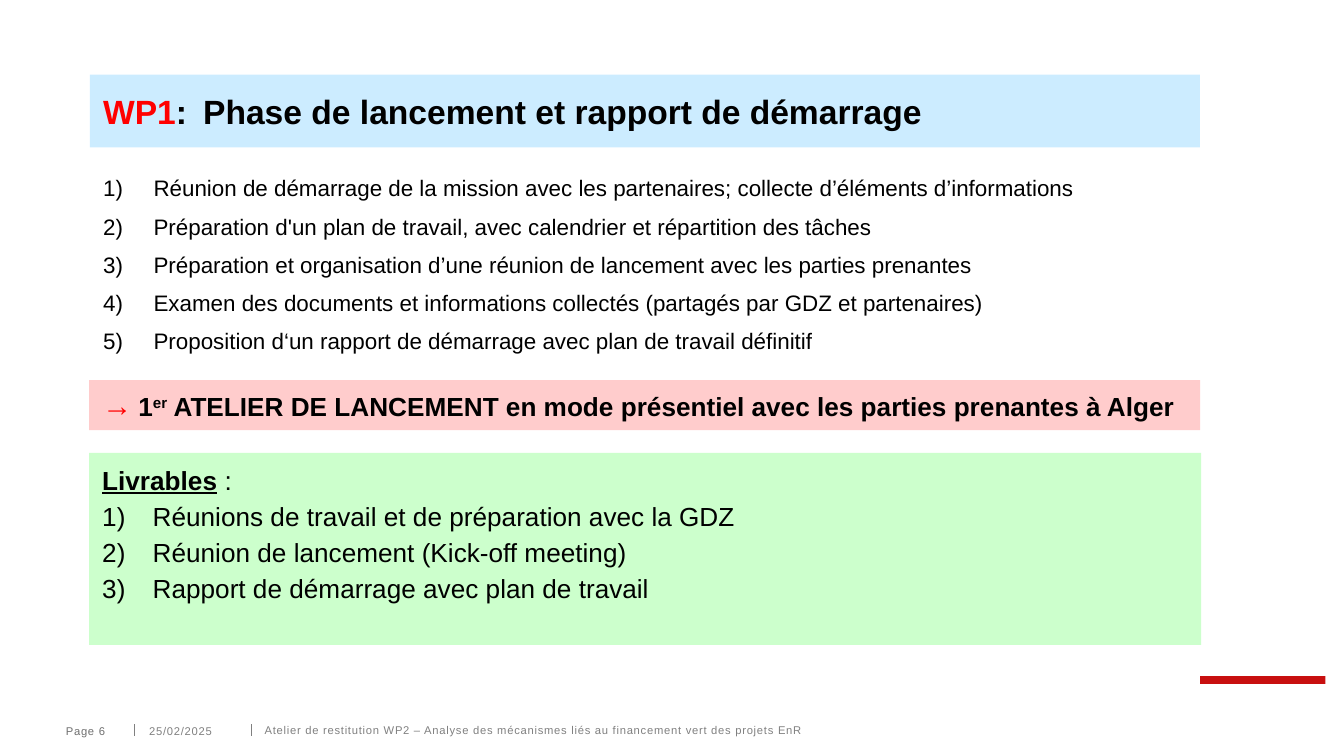
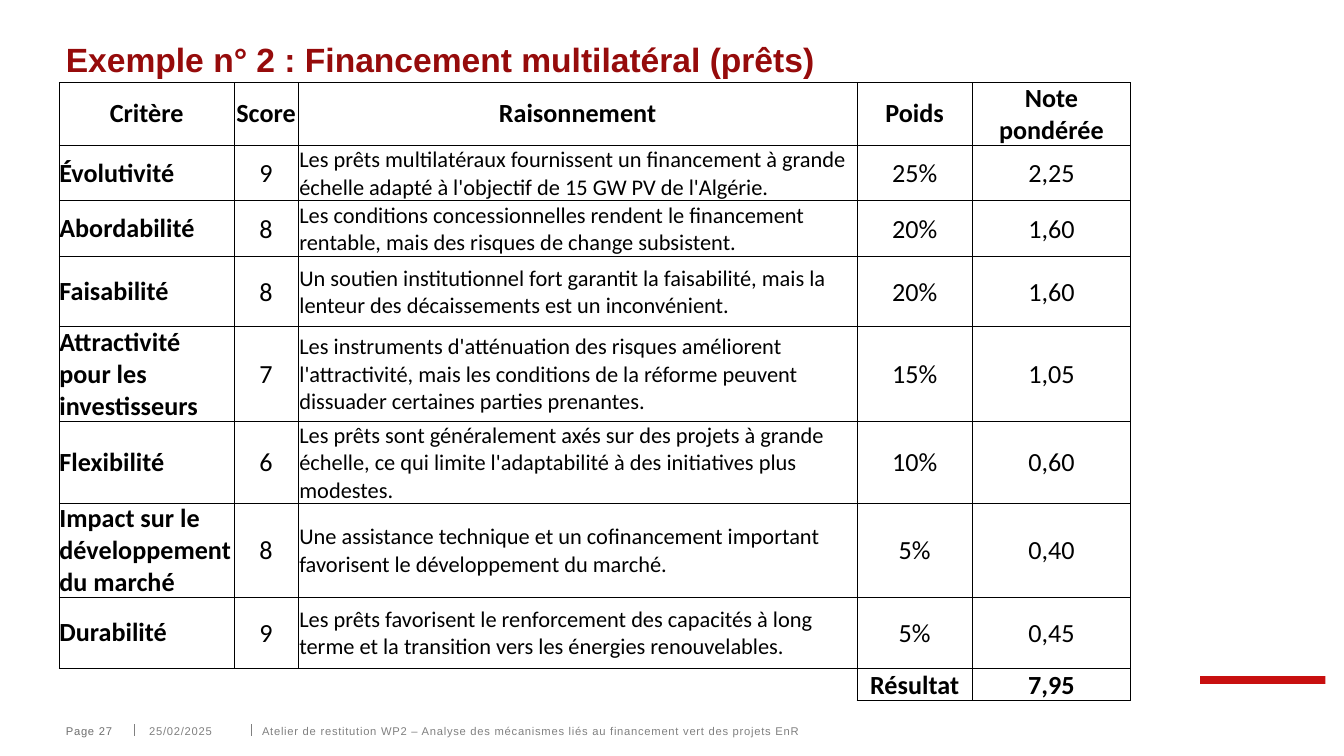
from dataclasses import dataclass
from lxml import etree
from pptx import Presentation, util as u
from pptx.dml.color import RGBColor
from pptx.enum import shapes, text
from pptx.oxml import ns

Pt = u.Pt


@dataclass(frozen=True)
class Theme:
    face: str = "Arial"
    grid: str = "Calibri"
    black: str = "000000"
    red: str = "FF0000"
    deep: str = "960B0B"
    bar: str = "C80F0F"
    grey: str = "808080"
    dim: str = "6F6F6F"
    blue: str = "CCECFF"
    green: str = "CCFFCC"
    pink: str = "FFCCCC"
    head: int = 18
    arrow: int = 16
    big: int = 14
    body: int = 12
    foot: int = 6


look = Theme()


def style(par, bits, face=look.face):
    for words, size, tint, bold, *more in bits:
        run = par.add_run()
        run.text = words
        run.font.name = face
        run.font.size = Pt(size)
        run.font.bold = bold
        run.font.color.rgb = RGBColor.from_string(tint)
        for key, val in more:
            run._r.get_or_add_rPr().set(key, val)


def put(slide, spot, lines, fill=None, pad=(7.2, 3.6, 7.2, 3.6),
        side="TOP", space=1.0, after=0, first=None):
    spot = [Pt(n) for n in spot]
    if fill:
        shape = slide.shapes.add_shape(shapes.MSO_SHAPE.RECTANGLE, *spot)
        shape.shadow.inherit = False
        shape.fill.solid()
        shape.fill.fore_color.rgb = RGBColor.from_string(fill)
        shape.line.fill.background()
    else:
        shape = slide.shapes.add_textbox(*spot)
    frame = shape.text_frame
    frame.word_wrap = True
    frame.vertical_anchor = text.MSO_ANCHOR[side]
    (frame.margin_left, frame.margin_top,
     frame.margin_right, frame.margin_bottom) = [Pt(n) for n in pad]
    for k, bits in enumerate(lines):
        par = frame.paragraphs[0] if k == 0 else frame.add_paragraph()
        par.alignment = text.PP_ALIGN.LEFT
        par.line_spacing = space
        par.space_after = Pt(after)
        if first is not None and k >= first:
            prop = par._p.get_or_add_pPr()
            prop.set("marL", str(Pt(27)))
            prop.set("indent", str(Pt(-27)))
            etree.SubElement(prop, ns.qn("a:buAutoNum"), type="arabicParenR")
        style(par, bits)
    return shape


deck = Presentation()
deck.slide_width, deck.slide_height = Pt(720), Pt(405)

event = ("Atelier de restitution WP2 – Analyse des mécanismes liés "
         "au financement vert des projets EnR")
pages = []
for num, left, top in ((6, 141.8, 387.4), (27, 140.4, 388)):
    page = deck.slides.add_slide(deck.slide_layouts[6])
    pages.append(page)
    put(page, (643, 362.2, 67, 4.2), [], look.bar)
    for x in (134.6, 72):
        rule = page.shapes.add_connector(
            shapes.MSO_CONNECTOR.STRAIGHT, Pt(x), Pt(388), Pt(x), Pt(394.5))
        rule.line.color.rgb = RGBColor.from_string(look.grey)
        rule.line.width = Pt(0.75)
        etree.SubElement(rule._element.spPr, ns.qn("a:effectLst"))
    for words, x, y, wide, tint in (
            (f"Page {num}", 35.3, 388, 35.3, look.dim),
            ("25/02/2025", 79.9, 388, 47.5, look.grey),
            (event, left, top, 460, look.grey)):
        put(page, (x, y, wide, 7.2),
            [[(words, look.foot, tint, False, ("spc", "40"))]],
            pad=(0, 0, 0, 0), side="MIDDLE")

start, score = pages

head = put(start, (48.2, 40, 594.6, 39),
           [[("WP1", look.head, look.red, True),
             (":\tPhase de lancement et rapport de démarrage",
              look.head, look.black, True)]],
           look.blue, (7.2, 8.6, 7.2, 8.6))
prop = head.text_frame.paragraphs[0]._p.get_or_add_pPr()
tabs = etree.SubElement(prop, ns.qn("a:tabLst"))
etree.SubElement(tabs, ns.qn("a:tab"), pos=str(Pt(53.6)), algn="l")

goods = ("Réunions de travail et de préparation avec la GDZ",
         "Réunion de lancement (Kick-off meeting)",
         "Rapport de démarrage avec plan de travail")
put(start, (47.7, 242.6, 595.8, 103),
    [[("Livrables", look.big, look.black, True, ("u", "sng")),
      ("\u00a0:", look.big, look.black, False)]]
    + [[(item, look.big, look.black, False)] for item in goods],
    look.green, space=1.15, first=1)

steps = (
    "Réunion de démarrage de la mission avec les partenaires; collecte d’éléments d’informations",
    "Préparation d'un plan de travail, avec calendrier et répartition des tâches",
    "Préparation et organisation d’une réunion de lancement avec les parties prenantes",
    "Examen des documents et informations collectés (partagés par GDZ et partenaires)",
    "Proposition d‘un rapport de démarrage avec plan de travail définitif")
put(start, (48.2, 90, 595.4, 104.4),
    [[(item, look.body, look.black, False)] for item in steps],
    after=6, first=0)

put(start, (47.7, 203.6, 595.2, 26.8),
    [[("→", look.arrow, look.red, True),
      (" ", look.body, look.black, False),
      ("1", look.big, look.black, True),
      ("er", look.big, look.black, True, ("baseline", "30000")),
      (" ATELIER DE LANCEMENT en mode présentiel avec les parties prenantes à Alger",
       look.big, look.black, True)]], look.pink)

put(score, (35.3, 0, 674.6, 42.5),
    [[("Exemple n° 2 : Financement multilatéral (prêts)",
       look.head, look.deep, True)]],
    pad=(0, 0, 5.8, 0), side="BOTTOM", space=0.9)

rows = (
    ("Critère", "Score", "Raisonnement", "Poids", "Note pondérée"),
    ("Évolutivité", "9", "Les prêts multilatéraux fournissent un financement à grande "
     "échelle adapté à l'objectif de 15 GW PV de l'Algérie.", "25%", "2,25"),
    ("Abordabilité", "8", "Les conditions concessionnelles rendent le financement "
     "rentable, mais des risques de change subsistent.", "20%", "1,60"),
    ("Faisabilité", "8", "Un soutien institutionnel fort garantit la faisabilité, mais la "
     "lenteur des décaissements est un inconvénient.", "20%", "1,60"),
    ("Attractivité pour les investisseurs", "7",
     "Les instruments d'atténuation des risques améliorent l'attractivité, mais les "
     "conditions de la réforme peuvent dissuader certaines parties prenantes.",
     "15%", "1,05"),
    ("Flexibilité", "6", "Les prêts sont généralement axés sur des projets à grande "
     "échelle, ce qui limite l'adaptabilité à des initiatives plus modestes.",
     "10%", "0,60"),
    ("Impact sur le développement du marché", "8",
     "Une assistance technique et un cofinancement important favorisent le "
     "développement du marché.", "5%", "0,40"),
    ("Durabilité", "9", "Les prêts favorisent le renforcement des capacités à long "
     "terme et la transition vers les énergies renouvelables.", "5%", "0,45"),
    ("", "", "", "Résultat", "7,95"))
wides = (93.6, 34.3, 299.5, 61.6, 85)
highs = (32.4, 29.8, 29.5, 38, 42, 42, 49, 38, 16.6)
last = len(rows) - 1

table = score.shapes.add_table(len(rows), len(wides), Pt(31.8), Pt(44.2),
                               Pt(sum(wides)), Pt(sum(highs))).table
table.first_row = table.horz_banding = False
for c, wide in enumerate(wides):
    table.columns[c].width = Pt(wide)
for r, (high, row) in enumerate(zip(highs, rows)):
    table.rows[r].height = Pt(high)
    for c, words in enumerate(row):
        cell = table.cell(r, c)
        cell.vertical_anchor = text.MSO_ANCHOR.MIDDLE
        pad = 0 if r == 0 or c == 0 else 0.7
        cell.margin_left = cell.margin_top = cell.margin_right = Pt(pad)
        cell.margin_bottom = 0
        par = cell.text_frame.paragraphs[0]
        prose = 0 < r < last and c == 2
        left = r > 0 and c in (0, 2)
        par.alignment = text.PP_ALIGN.LEFT if left else text.PP_ALIGN.CENTER
        if words:
            size = look.body if prose else look.big
            style(par, [(words, size, look.black, r in (0, last) or c == 0)],
                  look.grid)
        else:
            etree.SubElement(par._p, ns.qn("a:endParaRPr"), sz=str(look.big * 100))
        prop = cell._tc.get_or_add_tcPr()
        for edge in "LRTB":
            line = etree.SubElement(prop, ns.qn(f"a:ln{edge}"), w=str(Pt(0.5)))
            if words or edge == "T" or (edge == "R" and c == 2):
                paint = etree.SubElement(line, ns.qn("a:solidFill"))
                etree.SubElement(paint, ns.qn("a:srgbClr"), val=look.black)
            else:
                etree.SubElement(line, ns.qn("a:noFill"))
        cell.fill.background()

deck.save("out.pptx")
